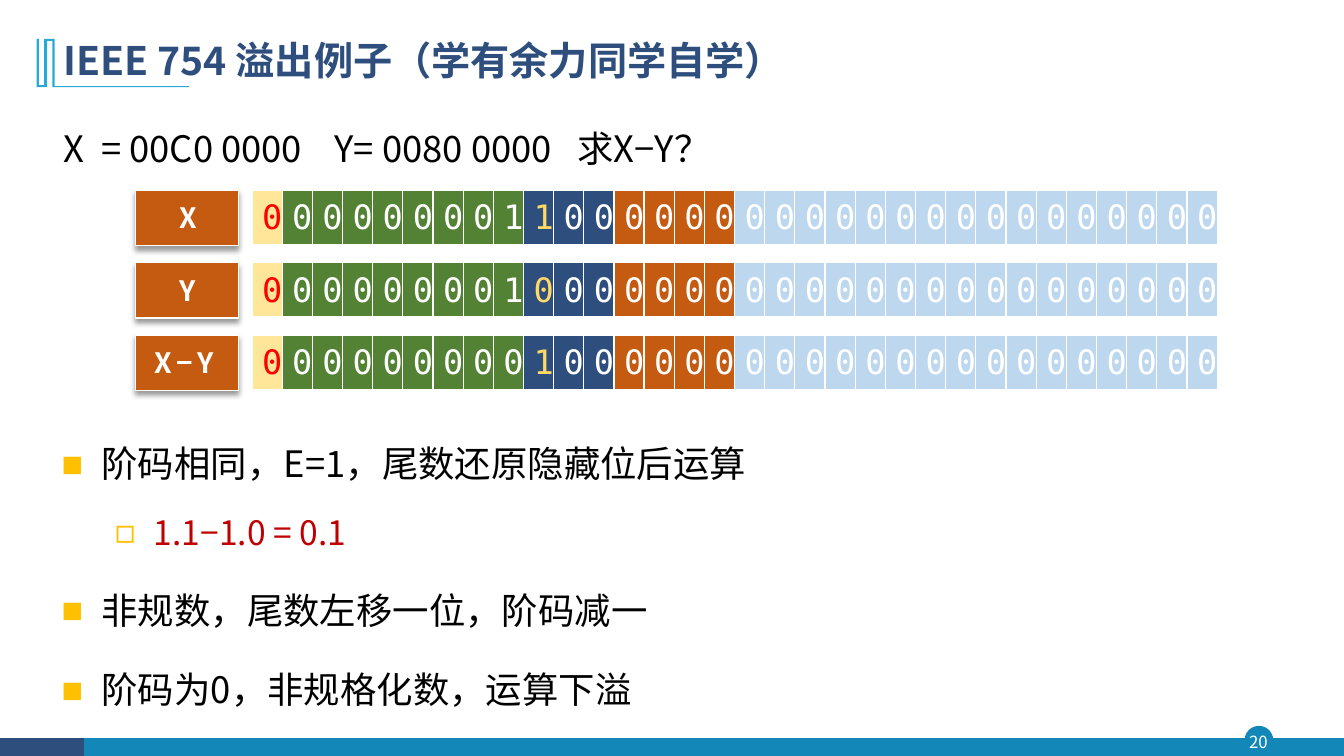
import lxml.etree
import pptx
import pptx.dml.color
import pptx.enum.shapes
import pptx.enum.text
import pptx.oxml.ns
import pptx.util

RGB = pptx.dml.color.RGBColor
SHAPE = pptx.enum.shapes.MSO_SHAPE
ALIGN = pptx.enum.text.PP_ALIGN
MIDDLE = pptx.enum.text.MSO_ANCHOR.MIDDLE

NAVY = RGB(0x2E, 0x4E, 0x7E)
TEAL = RGB(0x13, 0x87, 0xB7)
SKY = RGB(0x28, 0xA9, 0xD6)
WHITE = RGB(0xFF, 0xFF, 0xFF)
BLACK = RGB(0x00, 0x00, 0x00)
RED = RGB(0xFF, 0x00, 0x00)
DARK_RED = RGB(0xC0, 0x00, 0x00)
GOLD = RGB(0xFF, 0xC0, 0x00)
YELLOW = RGB(0xFF, 0xD9, 0x66)
CREAM = RGB(0xFF, 0xE6, 0x99)
GREEN = RGB(0x54, 0x82, 0x35)
ORANGE = RGB(0xC5, 0x5A, 0x11)
PALE_BLUE = RGB(0xBD, 0xD7, 0xEE)

SANS = "Noto Sans CJK SC"
MONO = "DejaVu Sans Mono"
HIDDEN_BIT = 9
BIT_FILLS = [CREAM] + [GREEN] * 8 + [NAVY] * 3 + [ORANGE] * 4 + [PALE_BLUE] * 16
ORNAMENT = [(17, 0), (17, 45), (145, 45), (145, 46), (15, 46), (15, 2), (10, 2),
            (10, 46), (0, 46), (0, 0), (2, 0), (2, 44), (7, 44), (7, 0)]


def px(length):
    return pptx.util.Emu(round(length * 9525))


def child(parent, tag, **attributes):
    return lxml.etree.SubElement(parent, pptx.oxml.ns.qn(tag), attributes)


def write(paragraph, text, size=26, color=BLACK, font=SANS, bold=False, align=None,
          line_spacing=None, before=None, tracking=None):
    if align is not None:
        paragraph.alignment = align
    if line_spacing is not None:
        paragraph.line_spacing = line_spacing
    if before is not None:
        paragraph.space_before = pptx.util.Pt(before)
    run = paragraph.add_run()
    run.text = text
    run.font.size = pptx.util.Pt(size)
    run.font.bold = bold
    run.font.color.rgb = color
    run.font.name = font
    properties = run.font._element
    child(properties, "a:ea", typeface=font)
    if tracking:
        properties.set("spc", str(tracking * 100))


def place(shape, left, top, width, height):
    shape.left, shape.top, shape.width, shape.height = map(px, (left, top, width, height))


def block(slide, kind, left, top, width, height, fill, outline=None):
    shape = slide.shapes.add_shape(kind, *map(px, (left, top, width, height)))
    shape.shadow.inherit = False
    shape.fill.solid()
    shape.fill.fore_color.rgb = fill
    if outline is None:
        shape.line.fill.background()
    else:
        shape.line.color.rgb = outline
        shape.line.width = pptx.util.Pt(1)
    return shape


def footer(slide, left, top, width, height):
    block(slide, SHAPE.OVAL, left + 1186, top - 11, 26, 26, TEAL, TEAL)
    block(slide, SHAPE.RECTANGLE, left, top, width, height, TEAL)
    block(slide, SHAPE.RECTANGLE, left, top, 80, height, NAVY)
    page = slide.shapes.add_textbox(*map(px, (left + 1183, top - 11, 31, 29))).text_frame
    page.margin_left = page.margin_right = page.margin_top = page.margin_bottom = 0
    page.word_wrap = True
    page.vertical_anchor = MIDDLE
    write(page.paragraphs[0], "20", size=12, color=WHITE, align=ALIGN.CENTER)


def heading(slide, left, top, width, height):
    points = [(left - 16 + x, top + 10 + y) for x, y in ORNAMENT]
    builder = slide.shapes.build_freeform(*points[0], scale=px(1))
    builder.add_line_segments(points[1:], close=True)
    ornament = builder.convert_to_shape()
    ornament.shadow.inherit = False
    ornament.fill.solid()
    ornament.fill.fore_color.rgb = SKY
    ornament.line.fill.background()
    title = slide.shapes.title
    place(title, left, top, width, height)
    title.text_frame.vertical_anchor = MIDDLE
    write(title.text_frame.paragraphs[0], "IEEE 754 溢出例子（学有余力同学自学）", size=28,
          color=NAVY, bold=True, align=ALIGN.LEFT, line_spacing=0.9)


def indent(paragraph, left, hanging):
    properties = paragraph._p.get_or_add_pPr()
    properties.set("marL", str(px(left)))
    properties.set("indent", str(px(-hanging)))
    return properties


def bullet(paragraph, symbol, percent, left, hanging):
    properties = indent(paragraph, left, hanging)
    child(child(properties, "a:buClr"), "a:srgbClr", val=str(GOLD))
    child(properties, "a:buSzPct", val=str(percent * 1000))
    child(properties, "a:buFont", typeface=MONO)
    child(properties, "a:buChar", char=symbol)


def discussion(slide, left, top, width, height):
    body = slide.placeholders[1]
    place(body, left, top, width, height)
    frame = body.text_frame
    frame.auto_size = pptx.enum.text.MSO_AUTO_SIZE.NONE
    question = frame.paragraphs[0]
    child(indent(question, 0, 0), "a:buNone")
    question.alignment = ALIGN.JUSTIFY
    question.line_spacing = 1.4
    question.space_before = 0
    for text, tracking in [("X", None), (" ", 6), ("= 00C0 0000", None), (" ", 17),
                           ("Y= 0080 0000", None), (" ", 12), ("求X−Y？", None)]:
        write(question, text, tracking=tracking)
    steps = [
        (0, "阶码相同，E=1，尾数还原隐藏位后运算", 178),
        (1, "1.1−1.0 = 0.1", 5),
        (0, "非规数，尾数左移一位，阶码减一", 10),
        (0, "阶码为0，非规格化数，运算下溢", 10),
    ]
    levels = [(("■", 80, 36, 36), {"size": 26, "color": BLACK}),
              (("◻", 100, 86, 37), {"size": 24, "color": DARK_RED})]
    for level, text, before in steps:
        step = frame.add_paragraph()
        step.level = level
        marker, style = levels[level]
        bullet(step, *marker)
        write(step, text, align=ALIGN.JUSTIFY, line_spacing=1.5, before=before, **style)


def bit_color(position):
    return {0: RED, HIDDEN_BIT: YELLOW}.get(position, WHITE)


def bit_row(slide, bits, left, top, width, height):
    table = slide.shapes.add_table(1, len(bits), *map(px, (left, top, width, height))).table
    table.first_row = table.horz_banding = False
    table.rows[0].height = px(height)
    for position, (bit, fill) in enumerate(zip(bits, BIT_FILLS)):
        table.columns[position].width = px(width / len(bits))
        cell = table.cell(0, position)
        cell.vertical_anchor = MIDDLE
        for side, points in (("L", 1), ("R", 1), ("T", 1), ("B", 3)):
            border = child(cell._tc.get_or_add_tcPr(), "a:ln" + side,
                           w=str(pptx.util.Pt(points)))
            child(child(border, "a:solidFill"), "a:srgbClr", val=str(WHITE))
        cell.fill.solid()
        cell.fill.fore_color.rgb = fill
        write(cell.text_frame.paragraphs[0], bit, size=24, color=bit_color(position), font=MONO)


def operand_label(slide, operand, left, top, width, height, text_left, text_width):
    plate = block(slide, SHAPE.RECTANGLE, left, top, width, height, ORANGE, WHITE)
    effects = plate._element.spPr.find(pptx.oxml.ns.qn("a:effectLst"))
    shadow = child(effects, "a:outerShdw", blurRad=str(pptx.util.Pt(4)),
                   dist=str(pptx.util.Pt(3)), dir="5400000", algn="t", rotWithShape="0")
    child(child(shadow, "a:srgbClr", val=str(BLACK)), "a:alpha", val="40000")
    caption = block(slide, SHAPE.RECTANGLE, left + text_left, top + 5, text_width, 42, ORANGE)
    caption.text_frame.word_wrap = False
    caption.text_frame.vertical_anchor = MIDDLE
    write(caption.text_frame.paragraphs[0], operand, size=20, color=WHITE, bold=True,
          align=ALIGN.LEFT, tracking=3)


def subtraction(slide, left, top, width, row_height, row_step):
    operands = [("X", "0000000011", 33, 31), ("Y", "0000000010", 33, 31),
                ("X−Y", "0000000001", 9, 88)]
    for row, (operand, leading_bits, text_left, text_width) in enumerate(operands):
        row_top = top + row * row_step
        bits = leading_bits.ljust(len(BIT_FILLS), "0")
        bit_row(slide, bits, left + 111, row_top, width - 111, row_height)
        operand_label(slide, operand, left, row_top, 98, row_height, text_left, text_width)


def main():
    deck = pptx.Presentation()
    deck.slide_width, deck.slide_height = px(1280), px(720)
    slide = deck.slides.add_slide(deck.slide_layouts[1])
    footer(slide, 0, 703, 1280, 17)
    heading(slide, 51, 27, 1104, 65)
    discussion(slide, 51, 99, 1192, 591)
    subtraction(slide, 129, 181, 1031, 53, 69)
    deck.save("out.pptx")


if __name__ == "__main__":
    main()
